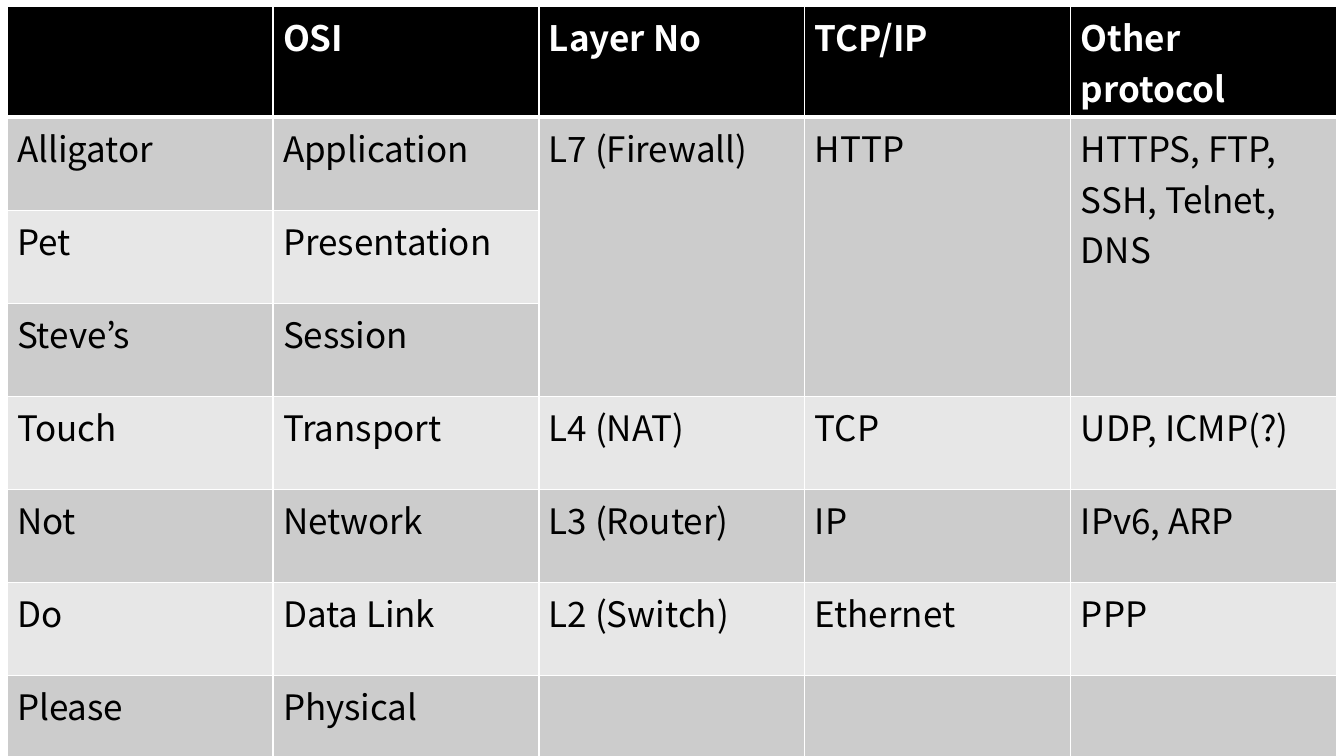
from lxml.etree import SubElement
from pptx import Presentation
from pptx.dml.color import RGBColor
from pptx.oxml.ns import qn
from pptx.util import Emu, Pt

EMU_PER_PX = 914400 / 100.8
FONT = "Noto Sans CJK KR"
WHITE, BLACK = "FFFFFF", "000000"
BANDS = ("CCCCCC", "E7E7E7")

HEADINGS = ["", "OSI", "Layer No", "TCP/IP", "Other protocol"]
LAYERS = [
    ["Alligator", "Application", "L7 (Firewall)", "HTTP", "HTTPS, FTP, SSH, Telnet, DNS"],
    ["Pet", "Presentation", "", "", ""],
    ["Steve’s", "Session", "", "", ""],
    ["Touch", "Transport", "L4 (NAT)", "TCP", "UDP, ICMP(?)"],
    ["Not", "Network", "L3 (Router)", "IP", "IPv6, ARP"],
    ["Do", "Data Link", "L2 (Switch)", "Ethernet", "PPP"],
    ["Please", "Physical", "", "", ""],
]
MERGED_COLUMNS = range(2, 5)
MERGED_ROWS = (1, 3)


def px(length):
    return Emu(round(length * EMU_PER_PX))


def color(value):
    return RGBColor.from_string(value)


def write(cell, text, size=25, fill=BLACK, bold=False):
    if not text:
        return
    span = cell.text_frame.paragraphs[0].add_run()
    span.text = text
    span.font.name = FONT
    span.font.size = Pt(size)
    span.font.bold = bold
    span.font.color.rgb = color(fill)
    SubElement(span.font._element, qn("a:ea"), typeface=FONT)


class Page:
    def __init__(self, deck, font_size):
        self.slide = deck.slides.add_slide(deck.slide_layouts[6])
        self.font_size = font_size

    def borders(self, cell, top, bottom):
        properties = cell._tc.get_or_add_tcPr()
        widths = {"a:lnL": 1, "a:lnR": 1, "a:lnT": top, "a:lnB": bottom}
        for side, width in widths.items():
            line = SubElement(properties, qn(side), w=str(Pt(width)))
            paint = SubElement(line, qn("a:solidFill"))
            SubElement(paint, qn("a:srgbClr"), val=WHITE)

    def table(self, rows, left, top, column_width, row_height):
        row_count, column_count = len(rows), len(rows[0])
        frame = self.slide.shapes.add_table(
            row_count, column_count, px(left), px(top),
            px(column_width * column_count), px(row_height * row_count))
        table = frame.table
        for column in table.columns:
            column.width = px(column_width)
        for row in table.rows:
            row.height = px(row_height)
        for row_index, texts in enumerate(rows):
            header = row_index == 0
            for column_index, text in enumerate(texts):
                cell = table.cell(row_index, column_index)
                self.borders(cell, top=3 if row_index == 1 else 1, bottom=3 if header else 1)
                cell.fill.solid()
                cell.fill.fore_color.rgb = color(BLACK if header else BANDS[(row_index - 1) % 2])
                write(cell, text, size=self.font_size, fill=WHITE if header else BLACK, bold=header)
        return table


def main():
    deck = Presentation()
    deck.slide_width, deck.slide_height = px(1344), px(756)
    page = Page(deck, font_size=25)
    table = page.table([HEADINGS] + LAYERS, left=7, top=6, column_width=266, row_height=93)
    first, last = MERGED_ROWS
    for column in MERGED_COLUMNS:
        table.cell(first, column).merge(table.cell(last, column))
    deck.save("out.pptx")


if __name__ == "__main__":
    main()
